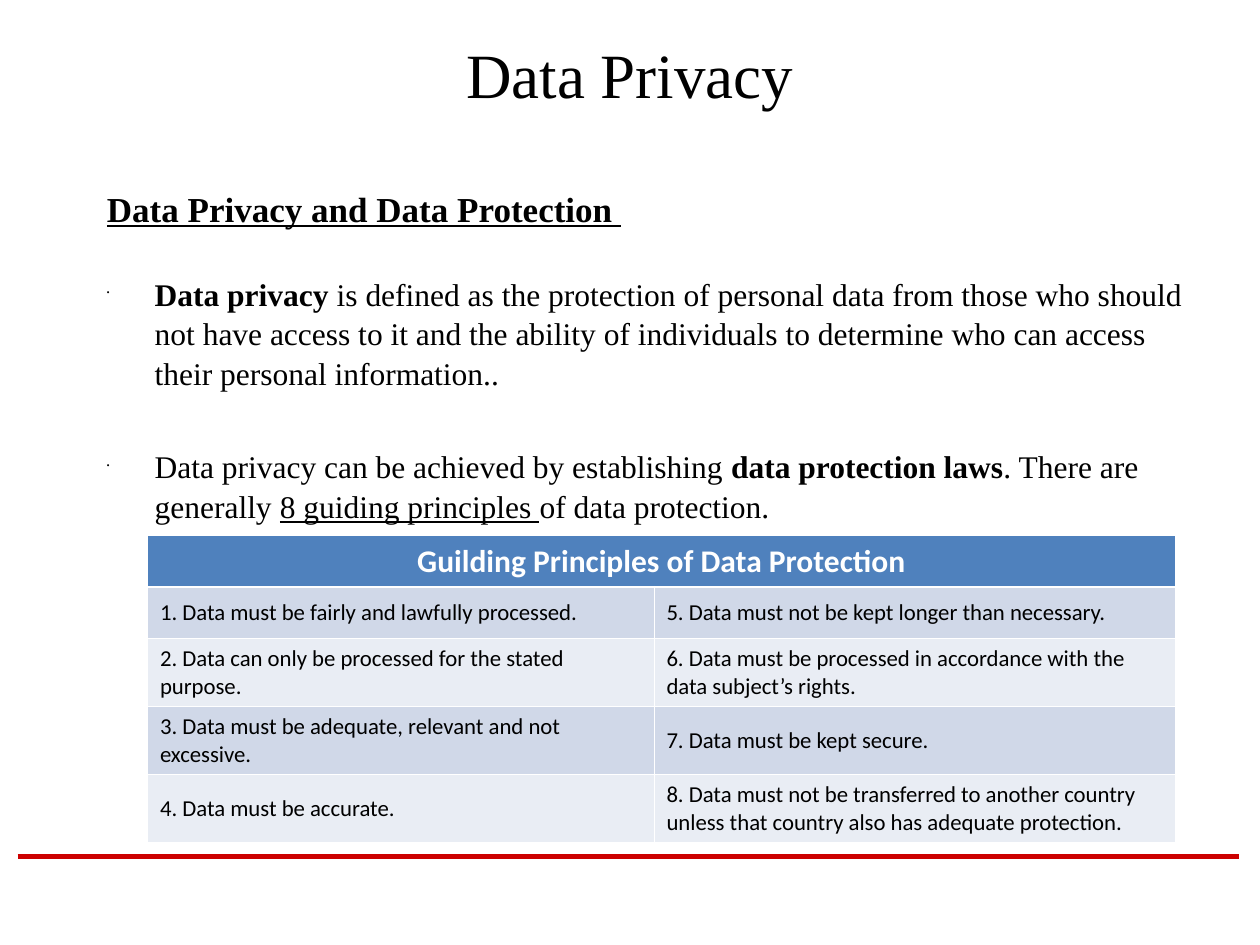
from lxml.etree import SubElement
from pptx import Presentation
from pptx.dml.color import RGBColor
from pptx.enum.shapes import MSO_CONNECTOR
from pptx.enum.text import MSO_ANCHOR, PP_ALIGN
from pptx.oxml.ns import qn
from pptx.util import Inches, Pt

COLORS = {
    "text": "000000", "white": "FFFFFF", "rule": "CC0000",
    "header": "4F81BD", "odd": "D0D8E8", "even": "E9EDF4",
}
SERIF, SANS = "Times New Roman", "Calibri"
WIDTH, HEIGHT = 10, 7.5

TITLE = "Data Privacy"
HEADING = "Data Privacy and Data Protection "
BULLETS = [
    (24.9, [
        ("Data privacy ", "bold"),
        ("is defined as the protection of personal data from those who should "
         "not have access to it and the ability of individuals to determine who "
         "can access their personal information..", ""),
    ]),
    (30.7, [
        ("Data privacy can be achieved by establishing ", ""),
        ("data protection laws", "bold"),
        (". There are generally ", ""),
        ("8 guiding principles ", "underline"),
        ("of data protection.", ""),
    ]),
]
TABLE_TITLE = "Guilding Principles of Data Protection"
PRINCIPLES = [
    "Data must be fairly and lawfully processed.",
    "Data can only be processed for the stated purpose.",
    "Data must be adequate, relevant and not excessive.",
    "Data must be accurate.",
    "Data must not be kept longer than necessary.",
    "Data must be processed in accordance with the data subject’s rights.",
    "Data must be kept secure.",
    "Data must not be transferred to another country unless that country also "
    "has adequate protection.",
]
COLUMN_WIDTHS = [4.02, 4.14]
ROW_HEIGHTS = [0.41, 0.41, 0.54, 0.54, 0.54]


def color(name):
    return RGBColor.from_string(COLORS[name])


def add_run(paragraph, text, size, font=SERIF, style="", fill="text"):
    run = paragraph.add_run()
    run.text = text
    run.font.name = font
    run.font.size = Pt(size)
    run.font.bold = "bold" in style
    run.font.underline = "underline" in style
    run.font.color.rgb = color(fill)


def add_text_frame(slide, left, top, width, height, anchor):
    box = slide.shapes.add_textbox(
        Inches(left), Inches(top), Inches(width), Inches(height))
    box.text_frame.word_wrap = True
    box.text_frame.vertical_anchor = anchor
    return box.text_frame


def set_bullet(paragraph):
    properties = paragraph._p.get_or_add_pPr()
    properties.set("marL", str(Inches(0.38)))
    properties.set("indent", str(-Inches(0.38)))
    bullet_color = SubElement(properties, qn("a:buClr"))
    SubElement(bullet_color, qn("a:srgbClr"), val=COLORS["text"])
    SubElement(properties, qn("a:buSzPct"), val="25000")
    SubElement(properties, qn("a:buChar"), char="•")


def set_borders(cell, widths):
    properties = cell._tc.get_or_add_tcPr()
    for position, (side, width) in enumerate(widths.items()):
        line = properties.makeelement(qn(f"a:ln{side}"), {"w": str(Pt(width))})
        fill = SubElement(line, qn("a:solidFill"))
        SubElement(fill, qn("a:srgbClr"), val=COLORS["white"])
        properties.insert(position, line)


def fill_cell(cell, row, text):
    header = row == 0
    cell.fill.solid()
    cell.fill.fore_color.rgb = color(
        "header" if header else "odd" if row % 2 else "even")
    cell.vertical_anchor = MSO_ANCHOR.MIDDLE
    paragraph = cell.text_frame.paragraphs[0]
    paragraph.alignment = PP_ALIGN.CENTER if header else PP_ALIGN.LEFT
    if header:
        add_run(paragraph, text, 18, SANS, "bold", "white")
    else:
        add_run(paragraph, text, 13, SANS)
    set_borders(cell, {"L": 0.45, "R": 0.45,
                       "T": 1.47 if row == 1 else 0.45,
                       "B": 1.47 if header else 0.45})


def add_rule(slide):
    rule = slide.shapes.add_connector(
        MSO_CONNECTOR.STRAIGHT, Inches(0.14), Inches(6.8),
        Inches(9.83), Inches(6.8))
    rule.line.color.rgb = color("rule")
    rule.line.width = Pt(3)
    SubElement(rule._element.spPr, qn("a:effectLst"))


def add_body(slide):
    frame = add_text_frame(slide, 0.75, 1.42, 8.83, 5.33, MSO_ANCHOR.TOP)
    heading = frame.paragraphs[0]
    heading.line_spacing = 1.05
    add_run(heading, HEADING, 20, style="bold underline")
    for space_before, runs in BULLETS:
        paragraph = frame.add_paragraph()
        set_bullet(paragraph)
        paragraph.line_spacing = 1.05
        paragraph.space_before = Pt(space_before)
        for text, style in runs:
            add_run(paragraph, text, 18, style=style)


def add_principles(slide):
    table = slide.shapes.add_table(
        len(ROW_HEIGHTS), len(COLUMN_WIDTHS), Inches(1.17), Inches(4.25),
        Inches(sum(COLUMN_WIDTHS)), Inches(sum(ROW_HEIGHTS))).table
    for column, width in zip(table.columns, COLUMN_WIDTHS):
        column.width = Inches(width)
    for row, height in zip(table.rows, ROW_HEIGHTS):
        row.height = Inches(height)
    table.cell(0, 0).merge(table.cell(0, 1))
    fill_cell(table.cell(0, 0), 0, TABLE_TITLE)
    rows_per_column = len(ROW_HEIGHTS) - 1
    for index, principle in enumerate(PRINCIPLES):
        column, row = divmod(index, rows_per_column)
        fill_cell(table.cell(row + 1, column), row + 1,
                  f"{index + 1}. {principle}")


def main():
    presentation = Presentation()
    presentation.slide_width = Inches(WIDTH)
    presentation.slide_height = Inches(HEIGHT)
    slide = presentation.slides.add_slide(presentation.slide_layouts[6])
    add_rule(slide)
    title = add_text_frame(slide, 0.75, 0.17, 8.5, 0.83, MSO_ANCHOR.MIDDLE)
    title.paragraphs[0].alignment = PP_ALIGN.CENTER
    add_run(title.paragraphs[0], TITLE, 36)
    add_body(slide)
    add_principles(slide)
    presentation.save("out.pptx")


if __name__ == "__main__":
    main()
